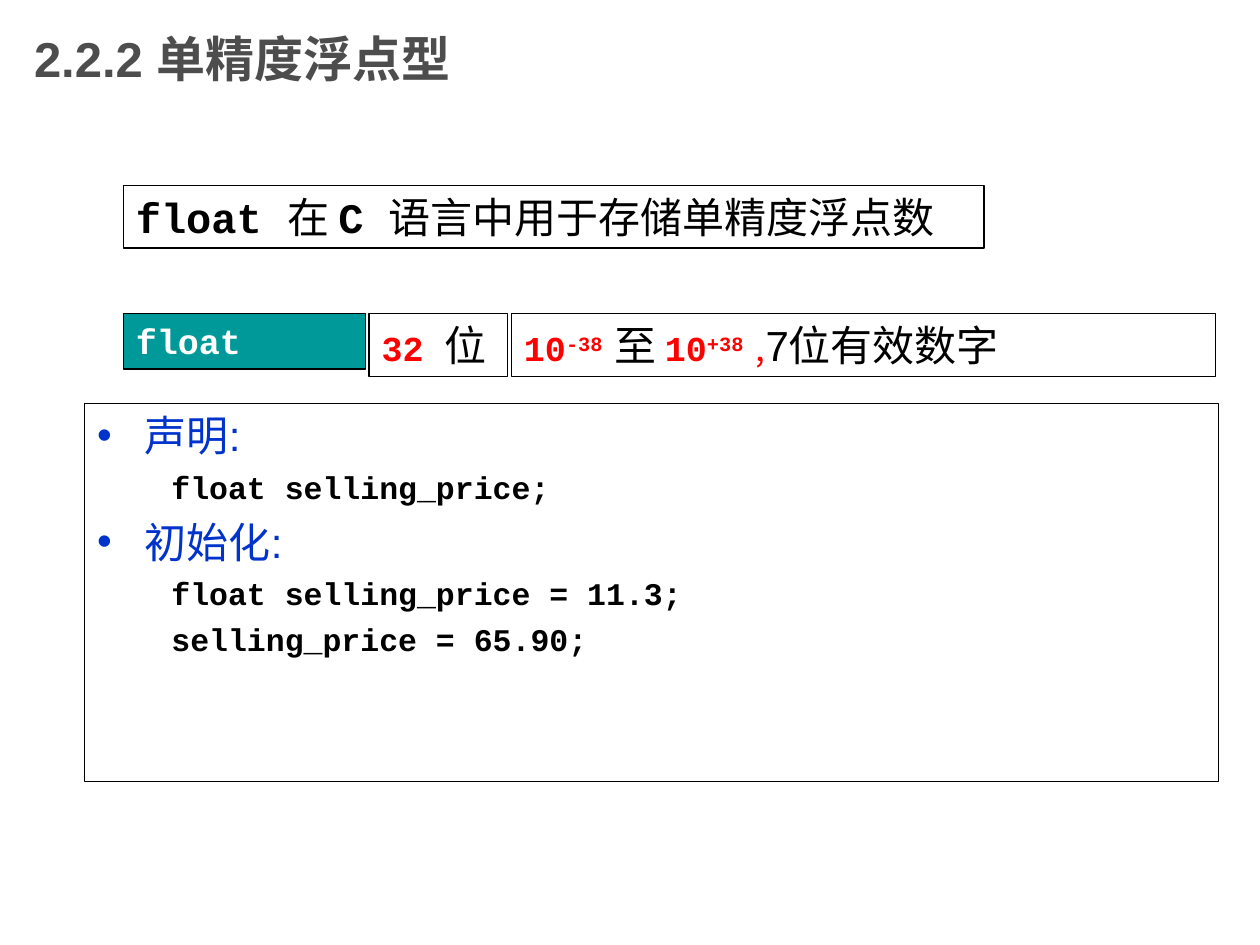
from dataclasses import dataclass
from lxml.etree import SubElement
from pptx import Presentation
from pptx.dml.color import RGBColor as Rgb
from pptx.enum.shapes import MSO_SHAPE as Kind
from pptx.enum.text import MSO_ANCHOR as Anchor, MSO_AUTO_SIZE as Fit, PP_ALIGN as Align
from pptx.oxml.ns import qn
from pptx.util import Inches, Pt


@dataclass(frozen=True)
class Theme:
    black: str = "000000"
    white: str = "FFFFFF"
    gray: str = "4D4D4D"
    teal: str = "009999"
    red: str = "FF0000"
    blue: str = "0033CC"
    sans: str = "Arial"
    mono: str = "Courier New"
    han: str = "Noto Sans CJK SC"
    head: int = 28
    large: int = 24
    mid: int = 20
    code: int = 18
    line: float = 0.75


T = Theme()
COLS, ROWS = 100, 75
WIDE, HIGH = Inches(10), Inches(7.5)


def place(shape, col, row, cols, rows):
    shape.left, shape.width = (int(WIDE * n / COLS) for n in (col, cols))
    shape.top, shape.height = (int(HIGH * n / ROWS) for n in (row, rows))


def style(run, size, color, face=T.mono, bold=False, lift=0):
    font = run.font
    font.size, font.bold, font.name = Pt(size), bold, face
    font.color.rgb = Rgb.from_string(color)
    props = font._element
    SubElement(props, qn("a:ea")).set("typeface", T.han)
    if lift:
        props.set("baseline", str(lift * 1000))


def paint(shape, color, alpha=None):
    shape.fill.solid()
    shape.fill.fore_color.rgb = Rgb.from_string(color)
    if alpha:
        tint = shape._element.spPr.find(qn("a:solidFill"))[0]
        SubElement(tint, qn("a:alpha")).set("val", str(alpha * 1000))
    shape.line.color.rgb = Rgb.from_string(T.black)
    shape.line.width = Pt(T.line)


def add_box(slide, area, parts, fill=T.white, alpha=None, wrap=True, align=Align.LEFT):
    box = slide.shapes.add_shape(Kind.RECTANGLE, 0, 0, 0, 0)
    place(box, *area)
    box.shadow.inherit = False
    paint(box, fill, alpha)
    frame = box.text_frame
    frame.word_wrap, frame.vertical_anchor = wrap, Anchor.TOP
    frame.auto_size = Fit.SHAPE_TO_FIT_TEXT
    para = frame.paragraphs[0]
    para.alignment = align
    for text, *look in parts:
        run = para.add_run()
        run.text = text
        style(run, *look)


def set_title(slide, text):
    title = slide.shapes.title
    place(title, 1.7, 0, 75, 9.2)
    frame = title.text_frame
    frame.text = text
    frame.auto_size, frame.vertical_anchor = Fit.NONE, Anchor.MIDDLE
    para = frame.paragraphs[0]
    para.alignment = Align.LEFT
    style(para.runs[0], T.head, T.gray, T.sans, True)


def set_list(slide, items):
    body = slide.placeholders[1]
    place(body, 6.7, 32, 90, 30)
    paint(body, T.white, 80)
    frame = body.text_frame
    frame.text = "\n".join(text for text, _ in items)
    frame.auto_size, frame.vertical_anchor = Fit.NONE, Anchor.TOP
    for para, (_, level) in zip(frame.paragraphs, items):
        para.level = level
        para.space_before = Pt(4.5 if level else 6)
        left, hang = (0.9, 0.31) if level else (0.38, 0.38)
        props = para._p.get_or_add_pPr()
        props.set("marL", str(Inches(left)))
        props.set("indent", str(-Inches(hang)))
        if level:
            SubElement(props, qn("a:buNone"))
            style(para.runs[0], T.code, T.black, T.mono, True)
        else:
            tint = SubElement(props, qn("a:buClr"))
            SubElement(tint, qn("a:srgbClr")).set("val", T.blue)
            SubElement(props, qn("a:buChar")).set("char", "•")
            style(para.runs[0], T.large, T.blue, T.sans)


def main():
    deck = Presentation()
    deck.slide_width, deck.slide_height = WIDE, HIGH
    slide = deck.slides.add_slide(deck.slide_layouts[1])
    set_title(slide, "2.2.2 单精度浮点型")

    # Definition
    plain = (T.large, T.black)
    strong = (*plain, T.mono, True)
    left = 9.8
    add_box(slide, (left, 14.7, 68.3, 5), [
        ("float ", *strong), ("在 ", *plain),
        ("C ", *strong), ("语言中用于存储单精度浮点数", *plain),
    ], alpha=80, align=Align.JUSTIFY)

    # Type, size and range in one row
    red = (T.mid, T.red, T.mono, True)
    cells = [
        (19.2, 4.4, T.teal, True, [("float", T.mid, T.white, T.mono, True)]),
        (11, 5, T.white, False, [("32 ", *red), ("位", *plain)]),
        (55.9, 5, T.white, True, [
            ("10", *red), ("-38 ", *red, 30), ("至", *plain),
            (" 10", *red), ("+38 ", *red, 30), (",", T.mid, T.red, T.han),
            ("7", *plain, T.sans), ("位有效数字", *plain, T.han),
        ]),
    ]
    for cols, rows, fill, wrap, parts in cells:
        add_box(slide, (left, 24.9, cols, rows), parts, fill, wrap=wrap)
        left += cols + 0.3

    # Declaration and initial value
    set_list(slide, [
        ("声明:", 0), ("float selling_price;", 1),
        ("初始化:", 0), ("float selling_price = 11.3;", 1),
        ("selling_price = 65.90;", 1),
    ])
    deck.save("out.pptx")


main()
